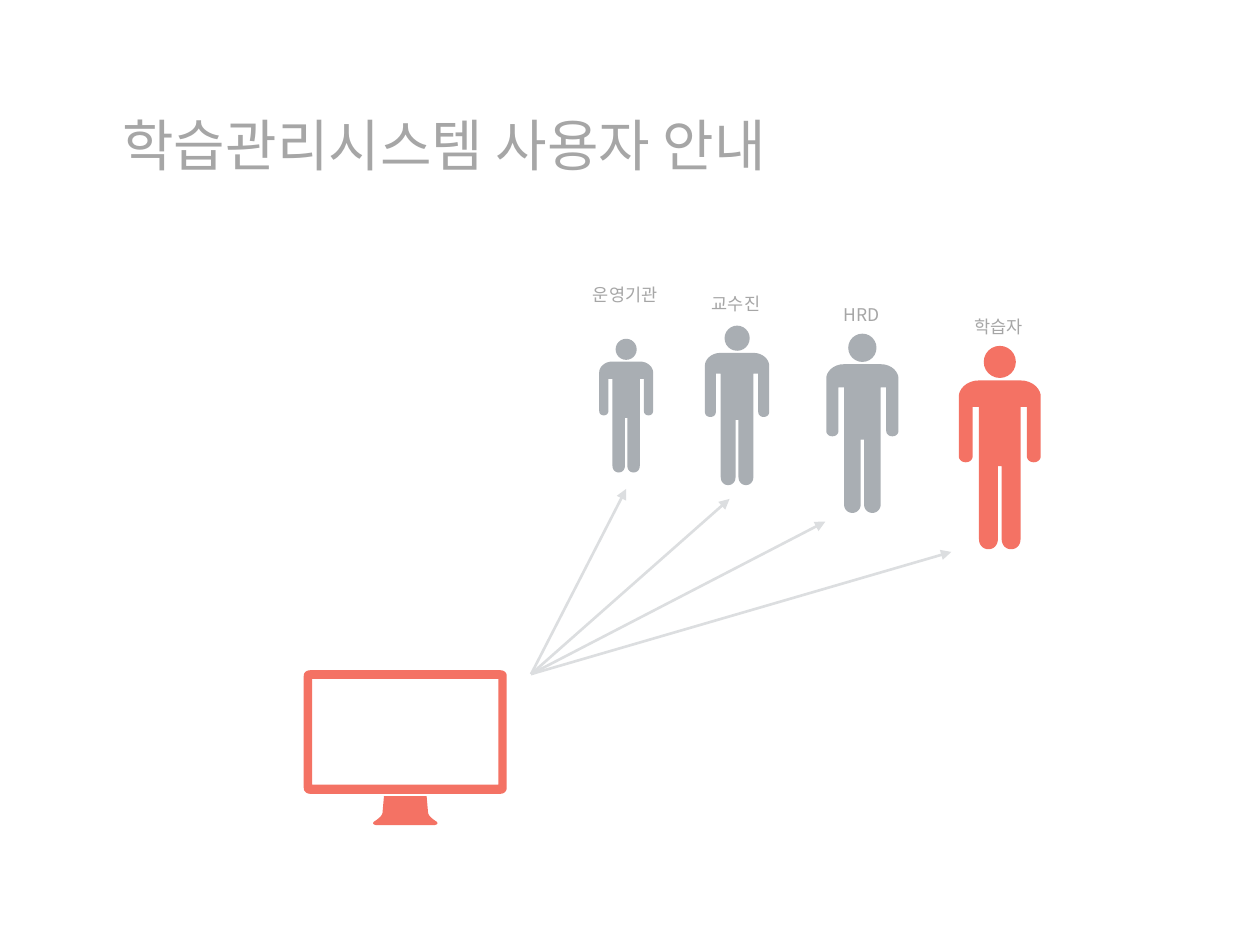
"""Build a slide that shows the users of a learning management system."""
from lxml import etree
from pptx import Presentation
from pptx.dml.color import RGBColor
from pptx.enum.shapes import MSO_CONNECTOR as CONNECTOR, MSO_SHAPE as SHAPE
from pptx.enum.text import MSO_ANCHOR as ANCHOR, PP_ALIGN as ALIGN
from pptx.oxml.ns import qn
from pptx.util import Pt

FONT = "Noto Sans CJK KR"
CORAL, GRAY, TEXT_GRAY, LINE_GRAY = "F47264", "A9AEB3", "A6A6A6", "DCDEE0"

BODY = [
    (16, 0), (27.5, 0, 32.5, 8, 32.5, 12.5), (32.5, 60),
    (32.5, 63, 30, 65, 27, 65), (24, 65, 21.5, 63, 21.5, 60),
    (21.5, 21), (16.5, 21), (16.5, 126),
    (16.5, 131, 13, 134, 9, 134), (5, 134, 1.5, 131, 1.5, 126), (1.5, 68),
]
SCREEN_EDGE = [
    (54.4, 0), (56.4, 0, 58, 1.3, 58, 3.3), (58, 67.2),
    (58, 69.2, 56.4, 70.6, 54.4, 70.6),
]
SCREEN_OPENING = [(53.2, 5), (53.2, 65.4)]
STAND = [
    (12.2, 0), (13, 9.4), (13, 9.4, 13.2, 10.6, 14.2, 11.7),
    (15.4, 13, 17.8, 14.5, 17.8, 14.5), (17.8, 14.5, 19.6, 16, 16.8, 16.5),
]


def fill_shape(shape, color):
    shape.shadow.inherit = False
    shape.fill.solid()
    shape.fill.fore_color.rgb = RGBColor.from_string(color)
    shape.line.fill.background()


def add_symmetric(contours, center, top, scale, color):
    builder = None
    for contour in contours:
        half = [contour[0]]
        for segment in contour[1:]:
            if len(segment) == 2:
                half.append(segment)
                continue
            x0, y0 = half[-1]
            x1, y1, x2, y2, x3, y3 = segment
            for step in range(1, 9):
                t = step / 8
                a, b, c, d = (1 - t) ** 3, 3 * t * (1 - t) ** 2, 3 * t * t * (1 - t), t ** 3
                half.append((a * x0 + b * x1 + c * x2 + d * x3,
                             a * y0 + b * y1 + c * y2 + d * y3))
        outline = half + [(-x, y) for x, y in reversed(half)]
        points = [(100 * (center + x * scale), 100 * (top + y * scale)) for x, y in outline]
        if builder is None:
            builder = slide.shapes.build_freeform(*points[0], scale=Pt(0.01))
        else:
            builder.move_to(*points[0])
        builder.add_line_segments(points[1:], close=True)
    fill_shape(builder.convert_to_shape(), color)


presentation = Presentation()
presentation.slide_width, presentation.slide_height = Pt(720), Pt(540)
slide = presentation.slides.add_slide(presentation.slide_layouts[6])

add_symmetric([STAND], 231.6, 455, 1, CORAL)
add_symmetric([SCREEN_EDGE, SCREEN_OPENING], 231.6, 383, 1, CORAL)

for end_x, end_y in [(543.6, 315.4), (471.6, 298.1), (416.9, 285.1), (357.8, 279.4)]:
    arrow = slide.shapes.add_connector(
        CONNECTOR.STRAIGHT, Pt(303.5), Pt(385.2), Pt(end_x), Pt(end_y))
    arrow.line.color.rgb = RGBColor.from_string(LINE_GRAY)
    arrow.line.width = Pt(1.5)
    etree.SubElement(arrow.line._get_or_add_ln(), qn("a:tailEnd"), type="triangle")
    etree.SubElement(arrow._element.spPr, qn("a:effectLst"))

people = [
    ("운영기관", 357.8, 206.6, 63.4, 161.3, GRAY),
    ("교수진", 421.2, 201.6, 75.6, 166.3, GRAY),
    ("HRD", 492.8, 208.1, 85, 172.8, GRAY),
    ("학습자", 571.3, 217.4, 96.5, 179.3, CORAL),
]
texts = [("학습관리시스템 사용자 안내", 70, 67.7, 529, 45.4, 32, 0.9, ALIGN.LEFT, ANCHOR.TOP)]
for label, center, top, height, label_top, color in people:
    add_symmetric([BODY], center, top, height / 134, color)
    head_size = 0.19 * height
    head = slide.shapes.add_shape(
        SHAPE.OVAL, Pt(center - head_size / 2), Pt(top - 0.205 * height),
        Pt(head_size), Pt(head_size))
    fill_shape(head, color)
    texts.append((label, center - 32.6, label_top, 64, 13, 10, Pt(10),
                  ALIGN.CENTER, ANCHOR.BOTTOM))

for text, left, top, width, height, size, spacing, alignment, anchor in texts:
    box = slide.shapes.add_textbox(Pt(left), Pt(top), Pt(width), Pt(height))
    frame = box.text_frame
    frame.word_wrap = True
    frame.vertical_anchor = anchor
    frame.margin_left = frame.margin_right = frame.margin_top = frame.margin_bottom = 0
    paragraph = frame.paragraphs[0]
    paragraph.alignment = alignment
    paragraph.line_spacing = spacing
    run = paragraph.add_run()
    run.text = text
    run.font.size = Pt(size)
    run.font.color.rgb = RGBColor.from_string(TEXT_GRAY)
    run.font.name = FONT
    etree.SubElement(run.font._element, qn("a:ea"), typeface=FONT)

presentation.save("out.pptx")
